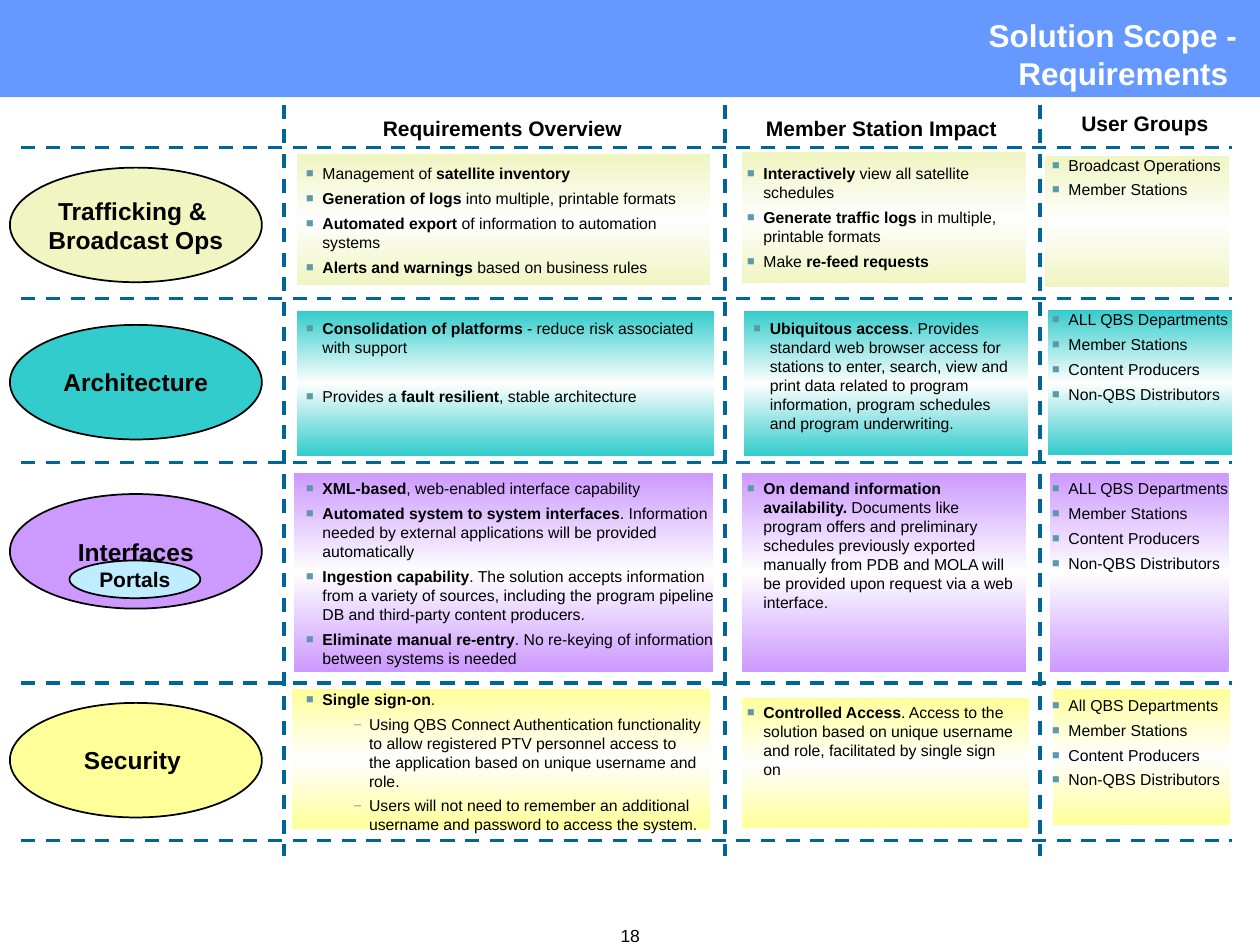
import copy

import lxml.etree
import pptx
import pptx.dml.color
import pptx.enum.dml
import pptx.enum.shapes
import pptx.enum.text
import pptx.oxml.ns
import pptx.util

Cm, Pt = pptx.util.Cm, pptx.util.Pt
qn = pptx.oxml.ns.qn
ALIGN = pptx.enum.text.PP_ALIGN
SHAPE = pptx.enum.shapes.MSO_SHAPE
INK = {
    name: pptx.dml.color.RGBColor.from_string(code)
    for name, code in {
        "banner": "6699FF", "rule": "006699", "black": "000000",
        "white": "FFFFFF", "mid": "FEFEFE", "bullet": "5E99AA",
        "cream": "F0F5C1", "teal": "33CCCC", "violet": "CC99FF",
        "yellow": "FFFF99", "sky": "BFEDFF",
    }.items()
}

deck = pptx.Presentation()
deck.slide_width, deck.slide_height = Cm(25.4), Cm(19.05)
slide = deck.slides.add_slide(deck.slide_layouts[6])
shapes = slide.shapes


def write(frame, lines, size, color="black", align=ALIGN.CENTER, list_gap=None):
    """Fill a frame; *stars* mark bold, a leading dash marks a sub-item.

    With list_gap, lines become bullets that far apart (in points).
    """
    for i, line in enumerate(lines):
        para = frame.paragraphs[0] if i == 0 else frame.add_paragraph()
        para.alignment = align
        if list_gap is not None:
            sub = line.startswith("–")
            line = line.lstrip("–")
            props = para._p.get_or_add_pPr()
            props.set("marL", str(Cm(1.27 if sub else 0.33)))
            props.set("indent", str(Cm(-0.3 if sub else -0.33)))
            tint = lxml.etree.SubElement(props, qn("a:buClr"))
            lxml.etree.SubElement(tint, qn("a:srgbClr"), val=str(INK["bullet"]))
            lxml.etree.SubElement(props, qn("a:buSzPct"), val="80000")
            lxml.etree.SubElement(props, qn("a:buFont"), typeface="Arial")
            lxml.etree.SubElement(props, qn("a:buChar"), char="–" if sub else "■")
            para.level = int(sub)
            para.space_before = Pt(list_gap if i else 0)
        for j, part in enumerate(line.split("*")):
            if part:
                run = para.add_run()
                run.text = part
                run.font.name, run.font.size = "Arial", Pt(size)
                run.font.bold = j % 2 == 1
                run.font.color.rgb = INK[color]


def add(kind, at, fill=None):
    """Add a preset shape, or a wrapping text box when kind is None."""
    place = [Cm(n) for n in at]
    if kind is None:
        item = shapes.add_textbox(*place)
        item.text_frame.word_wrap = True
        return item
    item = shapes.add_shape(kind, *place)
    item.shadow.inherit = False
    item.line.fill.background()
    if fill:
        item.fill.solid()
        item.fill.fore_color.rgb = INK[fill]
    return item


staff = ["Member Stations", "Content Producers", "Non-QBS Distributors"]

# Each row: label, colour, oval top, then three cells of
# (panel place, text place, top inset, paragraph gap, bullets)
rows = [
    (["*Trafficking & *", "*Broadcast Ops*"], "cream", 3.38, [
        ((5.99, 3.1, 8.33, 2.64), (5.92, 3.18, 8.46, 2.54), 0.13, 3.4, [
            "Management of *satellite inventory*",
            "*Generation of logs* into multiple, printable formats",
            "*Automated export* of information to automation systems",
            "*Alerts and warnings* based on business rules"]),
        ((14.96, 3.07, 5.72, 2.64), (14.81, 3.18, 5.92, 2.92), 0.13, 3.4, [
            "*Interactively* view all satellite schedules",
            "*Generate traffic logs* in multiple, printable formats",
            "Make *re-feed requests*"]),
        ((21.06, 3.15, 3.71, 2.64), (20.96, 3, 4.45, 1.14), 0.13, 3.4, [
            "Broadcast Operations", "Member Stations"]),
    ]),
    (["*Architecture*"], "teal", 6.55, [
        ((5.99, 6.27, 8.41, 2.92), (5.92, 6.3, 8.46, 2.03), 0.13, 17.2, [
            "*Consolidation of platforms* - reduce risk associated with support",
            "Provides a *fault resilient*, stable architecture"]),
        ((14.99, 6.27, 5.74, 2.92), (14.94, 6.3, 5.79, 3.05), 0.13, 3.4, [
            "*Ubiquitous access*. Provides standard web browser access for "
            "stations to enter, search, view and print data related to program "
            "information, program schedules and program underwriting."]),
        ((21.13, 6.25, 3.71, 2.92), (20.96, 6.12, 4.45, 2.13), 0.13, 3.4,
            ["ALL QBS Departments"] + staff),
    ]),
    (["*Interfaces*"], "violet", 9.96, [
        ((5.92, 9.53, 8.46, 4.01), (5.92, 9.53, 8.89, 4.06), 0.13, 3.4, [
            "*XML-based*, web-enabled interface capability",
            "*Automated system to system interfaces*. Information needed by "
            "external applications will be provided automatically",
            "*Ingestion capability*. The solution accepts information from a "
            "variety of sources, including the program pipeline DB and "
            "third-party content producers.",
            "*Eliminate manual re-entry*. No re-keying of information between "
            "systems is needed"]),
        ((14.96, 9.53, 5.72, 4.01), (14.81, 9.53, 5.92, 2.95), 0.13, 3.4, [
            "*On demand information availability.* Documents like program "
            "offers and preliminary schedules previously exported manually "
            "from PDB and MOLA will be provided upon request via a web "
            "interface."]),
        ((21.16, 9.53, 3.61, 4.01), (20.96, 9.53, 4.45, 2.13), 0.13, 3.4,
            ["ALL QBS Departments"] + staff),
    ]),
    (["*Security *"], "yellow", 14.17, [
        ((5.89, 13.89, 8.43, 2.82), (5.92, 13.77, 8.46, 3.18), 0.13, 3.4, [
            "*Single sign-on*.",
            "–Using QBS Connect Authentication functionality to allow "
            "registered PTV personnel access to the application based on "
            "unique username and role.",
            "–Users will not need to remember an additional username and "
            "password to access the system."]),
        ((14.96, 14.07, 5.79, 2.62), (14.81, 13.92, 5.92, 1.9), 0.25, 3.4, [
            "*Controlled Access*. Access to the solution based on unique "
            "username and role, facilitated by single sign on"]),
        ((21.23, 13.89, 3.56, 2.74), (20.96, 13.77, 4.45, 3.15), 0.25, 3.4,
            ["All QBS Departments"] + staff),
    ]),
]

# Banner and title
add(SHAPE.RECTANGLE, (0, 0, 25.4, 1.96), "banner")
title = add(None, (0.81, 0.2, 24.56, 1.78)).text_frame
title.margin_right = Cm(0.43)
write(title, ["*Solution Scope -*", "*Requirements *"], 18, "white", ALIGN.RIGHT)

# Shaded panels
for label, hue, top, cells in rows:
    for place, *rest in cells:
        panel = add(SHAPE.RECTANGLE, place)
        panel.fill.gradient()
        panel.fill.gradient_angle = 90
        stops = panel._element.spPr.find(".//" + qn("a:gsLst"))
        stops.insert(1, copy.deepcopy(stops[0]))
        for stop, spot, shade in zip(
                panel.fill.gradient_stops, (0, 0.5, 1), (hue, "mid", hue)):
            stop.position = spot
            stop.color.rgb = INK[shade]

# Dashed grid
grid = [(0.43, y, 24.84, y) for y in (2.97, 6.02, 9.32, 13.77, 16.94)]
grid += [(x, 2.11, x, 17.25) for x in (5.72, 14.61, 20.96)]
for ends in grid:
    rule = shapes.add_connector(
        pptx.enum.shapes.MSO_CONNECTOR.STRAIGHT, *[Cm(n) for n in ends])
    rule.line.color.rgb = INK["rule"]
    rule.line.width = Pt(2)
    rule.line.dash_style = pptx.enum.dml.MSO_LINE.DASH
    lxml.etree.SubElement(rule._element.spPr, qn("a:effectLst"))

# Column heads
for head, left, top, width in (
        ("Requirements Overview", 5.66, 2.21, 8.94),
        ("Member Station Impact", 14.81, 2.21, 5.92),
        ("User Groups", 20.96, 2.11, 4.24)):
    write(add(None, (left, top, width, 0.76)).text_frame, [f"*{head}*"], 12)

# Bullet lists
for label, hue, top, cells in rows:
    for place, spot, inset, gap, lines in cells:
        frame = add(None, spot).text_frame
        frame.margin_top = Cm(inset)
        write(frame, lines, 9, align=ALIGN.LEFT, list_gap=gap)

# Row labels
ovals = [(label, hue, (0.2, top, 5.08, 2.31), 14) for label, hue, top, cells in rows]
ovals.append((["*Portals*"], "sky", (1.4, 11.3, 2.64, 0.76), 12))
for label, hue, place, size in ovals:
    oval = add(SHAPE.OVAL, place, hue)
    oval.line.color.rgb = INK["black"]
    oval.line.width = Pt(1)
    oval.text_frame.word_wrap = False
    oval.text_frame.vertical_anchor = pptx.enum.text.MSO_ANCHOR.MIDDLE
    write(oval.text_frame, label, size)

# Page number
write(add(None, (11.51, 18.52, 2.39, 0.69)).text_frame, ["18"], 10)

deck.save("out.pptx")
